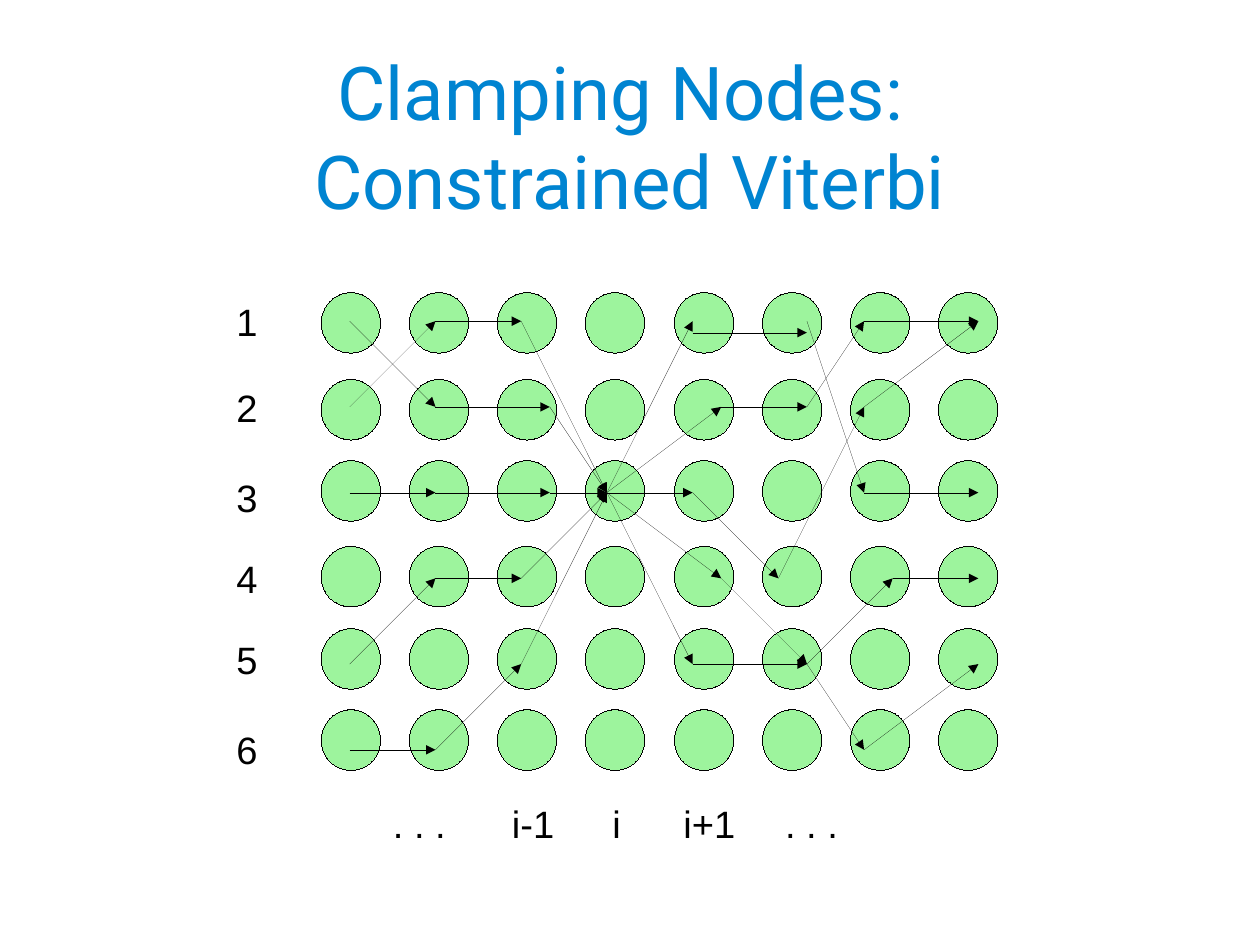
from dataclasses import dataclass
from itertools import pairwise

from lxml import etree
from pptx import Presentation
from pptx.dml.color import RGBColor
from pptx.enum.shapes import MSO_CONNECTOR as CONN, MSO_SHAPE as SHAPE
from pptx.enum.text import MSO_ANCHOR as ANCHOR, MSO_AUTO_SIZE as AUTO, PP_ALIGN as ALIGN
from pptx.oxml.ns import qn
from pptx.util import Cm, Emu, Pt

# Content
TITLE = "Clamping Nodes: \vConstrained Viterbi"
STATES = [("1", 256), ("2", 331), ("3", 410), ("4", 481), ("5", 552), ("6", 631)]
POSITIONS = [("i", 526, 50), ("i-1", 438, 75), ("i+1", 588, 75),
             (". . .", 334, 100), (". . .", 677, 100)]
# Each path lists (step, state); all pass through the clamped node (9, 3)
PATHS = [
    [(0, 1), (3, 2), (7, 2), (9, 3), (12, 5), (16, 5), (19, 4), (22, 4)],
    [(0, 2), (3, 1), (6, 1), (9, 3), (12, 3), (15, 4), (18, 2), (22, 1)],
    [(0, 6), (3, 6), (6, 5), (9, 3), (13, 2), (16, 2), (18, 1), (22, 1)],
    [(0, 3), (3, 3), (7, 3), (9, 3), (13, 4), (16, 5), (18, 6), (22, 5)],
    [(0, 5), (3, 4), (6, 4), (9, 3), (12, 1)],
    [(12, 1.13), (16, 1.13)],
    [(16, 1), (18, 3), (22, 3)],
]

# Layout in px, 100 to the inch, on a 28 by 21 cm page
PX = 9144
PAGE_W, PAGE_H = Cm(28), Cm(21)
TITLE_BOX = (55, 13, 992, 210)
NODE_W, NODE_H = 52, 53
NODE_TOPS = [256, 332, 403, 478, 550, 621]
NODE_COLS, NODE_LEFT, NODE_RIGHT = 8, 281, 821
LABEL_LEFT, LABEL_W, LABEL_H, POSITION_TOP = 197, 50, 47, 695
PATH_LEFT, PATH_TOP, STEP, STATE_GAP = 306, 281, 25, 75


@dataclass(frozen=True)
class Theme:
    title: RGBColor = RGBColor(0x00, 0x84, 0xD1)
    ink: RGBColor = RGBColor(0, 0, 0)
    node: RGBColor = RGBColor(0x3D, 0xEB, 0x3D)
    node_alpha: int = 50
    title_font: str = "Roboto"
    label_font: str = "Arial"
    title_size: Pt = Pt(46.8)
    label_size: Pt = Pt(24)


T = Theme()


def px(*values):
    return [Emu(round(v) * PX) for v in values]


def set_font(p, name, size, color):
    p.font.name, p.font.size = name, size
    p.font.color.rgb = color


def set_hairline(shape):
    """Give the shape a zero-width line and return the line element."""
    shape.line.color.rgb = T.ink
    ln = shape._element.spPr.find(qn("a:ln"))
    ln.set("w", "0")
    return ln


def add_title(s):
    title = s.shapes.title
    title.left, title.top, title.width, title.height = px(*TITLE_BOX)
    tf = title.text_frame
    tf.margin_left = tf.margin_top = tf.margin_right = tf.margin_bottom = 0
    tf.vertical_anchor = ANCHOR.MIDDLE
    tf.auto_size = AUTO.SHAPE_TO_FIT_TEXT
    tf.text = TITLE
    p = tf.paragraphs[0]
    p.alignment = ALIGN.CENTER
    set_font(p, T.title_font, T.title_size, T.title)


def add_node(s, left, top):
    sp = s.shapes.add_shape(SHAPE.OVAL, *px(left, top, NODE_W, NODE_H))
    sp.shadow.inherit = False
    sp.fill.solid()
    sp.fill.fore_color.rgb = T.node
    color = sp._element.spPr.find(qn("a:solidFill"))[0]
    etree.SubElement(color, qn("a:alpha"), val=str(T.node_alpha * 1000))
    set_hairline(sp)


def add_label(s, text, left, top, width):
    tf = s.shapes.add_textbox(*px(left, top, width, LABEL_H)).text_frame
    tf.word_wrap = True
    tf.auto_size = AUTO.SHAPE_TO_FIT_TEXT
    tf.text = text
    set_font(tf.paragraphs[0], T.label_font, T.label_size, T.ink)


def path_point(step, state):
    return px(PATH_LEFT + STEP * step, PATH_TOP + STATE_GAP * (state - 1))


def add_arrow(s, start, end):
    cxn = s.shapes.add_connector(CONN.STRAIGHT, *path_point(*start), *path_point(*end))
    etree.SubElement(set_hairline(cxn), qn("a:tailEnd"), type="triangle")
    etree.SubElement(cxn._element.spPr, qn("a:effectLst"))


def main():
    prs = Presentation()
    prs.slide_width, prs.slide_height = PAGE_W, PAGE_H
    s = prs.slides.add_slide(prs.slide_layouts[5])
    add_title(s)

    # Trellis nodes
    pitch = (NODE_RIGHT - NODE_LEFT) / (NODE_COLS - 1)
    for col in range(NODE_COLS):
        for top in NODE_TOPS:
            add_node(s, NODE_LEFT + col * pitch, top)

    # State and position labels
    for text, top in STATES:
        add_label(s, text, LABEL_LEFT, top, LABEL_W)
    for text, left, width in POSITIONS:
        add_label(s, text, left, POSITION_TOP, width)

    # Paths through the clamped node
    for path in PATHS:
        for start, end in pairwise(path):
            add_arrow(s, start, end)

    prs.save("out.pptx")


if __name__ == "__main__":
    main()
